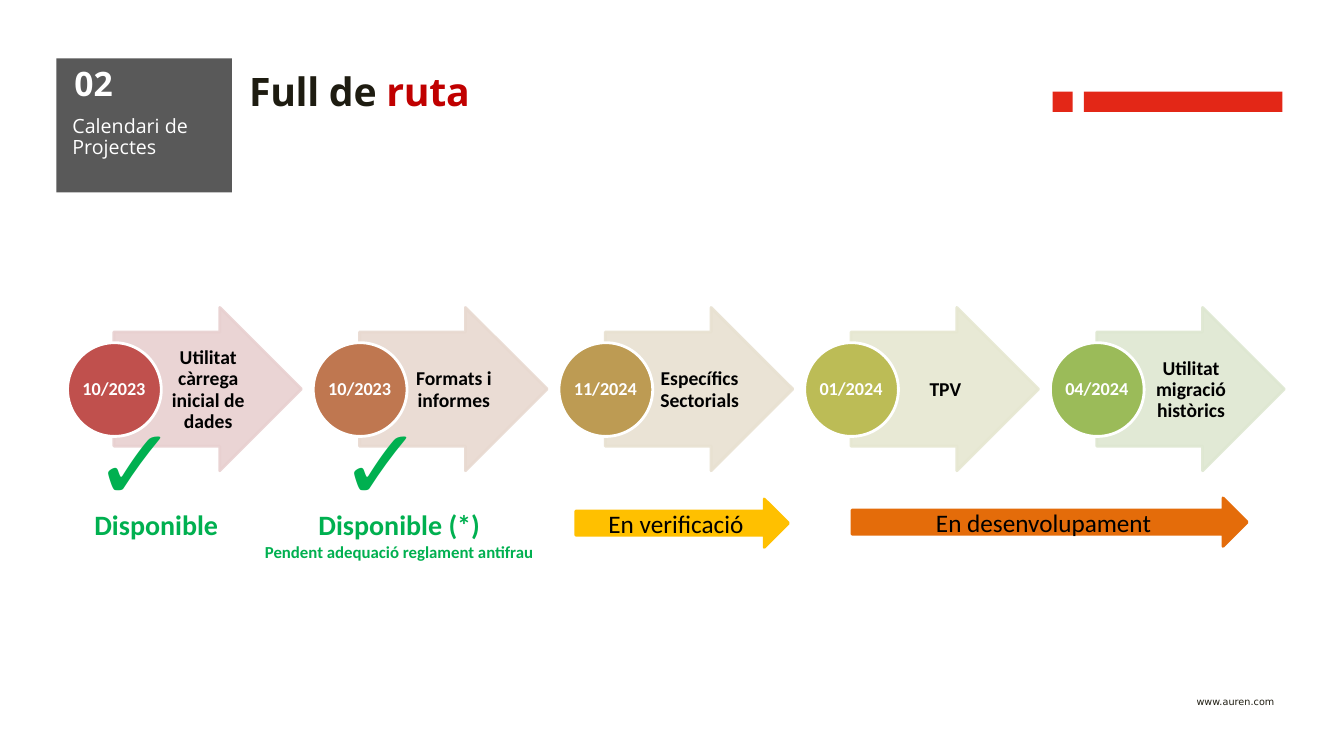
from dataclasses import dataclass
from typing import NamedTuple

import lxml.etree
import pptx
import pptx.dml.color
import pptx.enum.shapes
import pptx.enum.text
import pptx.oxml.ns
import pptx.util

SLIDE_WIDTH = pptx.util.Inches(13.33)
SLIDE_HEIGHT = pptx.util.Inches(7.5)
COLUMN = SLIDE_WIDTH / 133.3
ROW = SLIDE_HEIGHT / 75
STEP_PITCH = 24.37

Shapes = pptx.enum.shapes.MSO_SHAPE
Align = pptx.enum.text.PP_ALIGN
Anchor = pptx.enum.text.MSO_ANCHOR
AutoSize = pptx.enum.text.MSO_AUTO_SIZE


@dataclass(frozen=True)
class Theme:
    heading_font: str = "Open Sans"
    body_font: str = "Calibri"
    symbol_font: str = "Arial"
    web_font: str = "DejaVu Sans"
    ink: str = "1E1C11"
    accent: str = "C00000"
    bar: str = "E32717"
    panel: str = "595959"
    white: str = "FFFFFF"
    black: str = "000000"
    done: str = "00B050"
    checking: str = "FFC000"
    developing: str = "E46C0A"
    title_size: float = 28
    number_size: float = 24
    check_size: float = 72
    status_size: float = 20
    progress_size: float = 18
    label_size: float = 14
    date_size: float = 13
    small_size: float = 12


THEME = Theme()


class Box(NamedTuple):
    column: float
    row: float
    columns: float
    rows: float

    def shifted(self, columns: float) -> "Box":
        return self._replace(column=self.column + columns)

    def lengths(self) -> tuple[int, int, int, int]:
        return (round(self.column * COLUMN), round(self.row * ROW),
                round(self.columns * COLUMN), round(self.rows * ROW))


class Insets(NamedTuple):
    left: float = 1
    top: float = 0.5
    right: float = 1
    bottom: float = 0.5


@dataclass(frozen=True)
class Style:
    font: str
    size: float
    color: str
    bold: bool = False
    align: Align = Align.LEFT
    spacing: float = 1


@dataclass(frozen=True)
class Step:
    date: str
    label: str
    circle_color: str
    arrow_color: str


@dataclass(frozen=True)
class Progress:
    text: str
    box: Box
    color: str


STEPS = (
    Step("10/2023", "Utilitat càrrega inicial de dades", "C0504D", "E8D0D0"),
    Step("10/2023", "Formats i informes", "BF7750", "E8D9D0"),
    Step("11/2024", "Específics Sectorials", "BD9B53", "E8E1D1"),
    Step("01/2024", "TPV", "BCBC56", "E6E7D1"),
    Step("04/2024", "Utilitat migració històrics", "9BBB59", "DEE7D1"),
)
PROGRESS = (
    Progress("En desenvolupament", Box(84.5, 49.4, 39.2, 4.8), THEME.developing),
    Progress("En verificació", Box(57.1, 49.5, 21.1, 4.8), THEME.checking),
)
BARS = (Box(104.4, 9.1, 2, 2), Box(107.5, 9.1, 19.7, 2))

LABEL = Style(THEME.body_font, THEME.label_size, THEME.black, True, Align.CENTER, 0.9)
DATE = Style(THEME.body_font, THEME.date_size, THEME.white, True, Align.CENTER, 0.9)
CHECK = Style(THEME.symbol_font, THEME.check_size, THEME.done)
STATUS = Style(THEME.body_font, THEME.status_size, THEME.done, True, Align.CENTER)
REMARK = Style(THEME.body_font, THEME.small_size, THEME.done, True, Align.CENTER)
IN_PROGRESS = Style(THEME.body_font, THEME.progress_size, THEME.black, align=Align.CENTER)
NUMBER = Style(THEME.heading_font, THEME.number_size, THEME.white, True)
SECTION = Style(THEME.heading_font, THEME.label_size, THEME.white, spacing=0.9)
WEB = Style(THEME.web_font, THEME.small_size, THEME.ink, align=Align.CENTER)


def rgb(color: str) -> pptx.dml.color.RGBColor:
    return pptx.dml.color.RGBColor.from_string(color)


def set_insets(frame, insets: Insets) -> None:
    frame.margin_left = round(insets.left * COLUMN)
    frame.margin_top = round(insets.top * ROW)
    frame.margin_right = round(insets.right * COLUMN)
    frame.margin_bottom = round(insets.bottom * ROW)


def write_paragraph(paragraph, text: str, style: Style) -> None:
    paragraph.alignment = style.align
    paragraph.line_spacing = style.spacing
    paragraph.add_run().text = text
    font = paragraph.font
    font.name, font.size, font.bold = style.font, pptx.util.Pt(style.size), style.bold
    font.color.rgb = rgb(style.color)


def add_text(slide, box: Box, *lines: tuple[str, Style], insets: Insets = Insets(),
             anchor: Anchor = Anchor.TOP, wrap: bool = True):
    frame = slide.shapes.add_textbox(*box.lengths()).text_frame
    frame.word_wrap = wrap
    frame.vertical_anchor = anchor
    frame.auto_size = AutoSize.SHAPE_TO_FIT_TEXT if anchor == Anchor.TOP else AutoSize.NONE
    set_insets(frame, insets)
    for index, (text, style) in enumerate(lines):
        paragraph = frame.add_paragraph() if index else frame.paragraphs[0]
        write_paragraph(paragraph, text, style)
    return frame


def add_block(slide, kind: Shapes, box: Box, fill: str, line: str | None = None):
    shape = slide.shapes.add_shape(kind, *box.lengths())
    shape.shadow.inherit = False
    shape.fill.solid()
    shape.fill.fore_color.rgb = rgb(fill)
    if line is None:
        shape.line.fill.background()
    else:
        shape.line.color.rgb = rgb(line)
        shape.line.width = pptx.util.Pt(2)
    return shape


def set_opacity(shape, percent: int) -> None:
    for color in shape._element.spPr.findall(".//" + pptx.oxml.ns.qn("a:srgbClr")):
        alpha = lxml.etree.SubElement(color, pptx.oxml.ns.qn("a:alpha"))
        alpha.set("val", str(percent * 1000))


def add_title(slide) -> None:
    title = slide.shapes.title
    title.left, title.top, title.width, title.height = Box(24.7, 6.7, 69.9, 11.3).lengths()
    frame = title.text_frame
    frame.auto_size = AutoSize.NONE
    frame.vertical_anchor = Anchor.TOP
    set_insets(frame, Insets(0, 0, 0, 0))
    paragraph = frame.paragraphs[0]
    paragraph.alignment = Align.LEFT
    for text, color in (("Full de ", THEME.ink), ("ruta", THEME.accent)):
        run = paragraph.add_run()
        run.text = text
        run.font.color.rgb = rgb(color)
        run._r.get_or_add_rPr().set("spc", "-20")
    font = paragraph.font
    font.name, font.size, font.bold = THEME.heading_font, pptx.util.Pt(THEME.title_size), True


def add_step(slide, step: Step, shift: float) -> None:
    arrow = add_block(slide, Shapes.RIGHT_ARROW, Box(11.3, 30.5, 18.6, 16.2).shifted(shift),
                      step.arrow_color, step.arrow_color)
    arrow.adjustments[0] = 0.7
    set_opacity(arrow, 90)
    add_text(slide, Box(16, 33, 9.1, 11.4).shifted(shift), (step.label, LABEL),
             insets=Insets(0.4, 0.1, 0.2, 0.1), anchor=Anchor.MIDDLE)
    add_block(slide, Shapes.OVAL, Box(6.7, 34, 9.3, 9.3).shifted(shift),
              step.circle_color, THEME.white)
    add_text(slide, Box(8, 35.4, 6.6, 6.6).shifted(shift), (step.date, DATE),
             insets=Insets(0.1, 0.1, 0.1, 0.1), anchor=Anchor.MIDDLE, wrap=False)


def main() -> None:
    presentation = pptx.Presentation()
    presentation.slide_width, presentation.slide_height = SLIDE_WIDTH, SLIDE_HEIGHT
    slide = presentation.slides.add_slide(presentation.slide_layouts[5])

    address = add_text(slide, Box(115.3, 68.3, 14.5, 3), ("www.auren.com", WEB))
    address.paragraphs[0].runs[0]._r.get_or_add_rPr().set("baseline", "30000")
    for bar in BARS:
        add_block(slide, Shapes.RECTANGLE, bar, THEME.bar)
    add_title(slide)
    for index, step in enumerate(STEPS):
        add_step(slide, step, index * STEP_PITCH)
    for index in range(2):
        add_text(slide, Box(8.3, 39.2, 9.7, 13.1).shifted(index * STEP_PITCH), ("✓", CHECK))
    add_text(slide, Box(8.3, 49.9, 14.4, 4.4), ("Disponible", STATUS), wrap=False)
    add_text(slide, Box(25.1, 49.9, 29, 6.4), ("Disponible (*)", STATUS),
             ("Pendent adequació reglament antifrau", REMARK), wrap=False)
    for progress in PROGRESS:
        arrow = add_block(slide, Shapes.RIGHT_ARROW, progress.box, progress.color, progress.color)
        arrow.text_frame.vertical_anchor = Anchor.MIDDLE
        write_paragraph(arrow.text_frame.paragraphs[0], progress.text, IN_PROGRESS)
    add_block(slide, Shapes.RECTANGLE, Box(5.6, 5.8, 17.4, 13.3), THEME.panel)
    add_text(slide, Box(6.4, 5.7, 10, 8.1), ("02", NUMBER))
    add_text(slide, Box(6.2, 11.1, 15.8, 5.7), ("Calendari de Projectes", SECTION))
    presentation.save("out.pptx")


if __name__ == "__main__":
    main()
